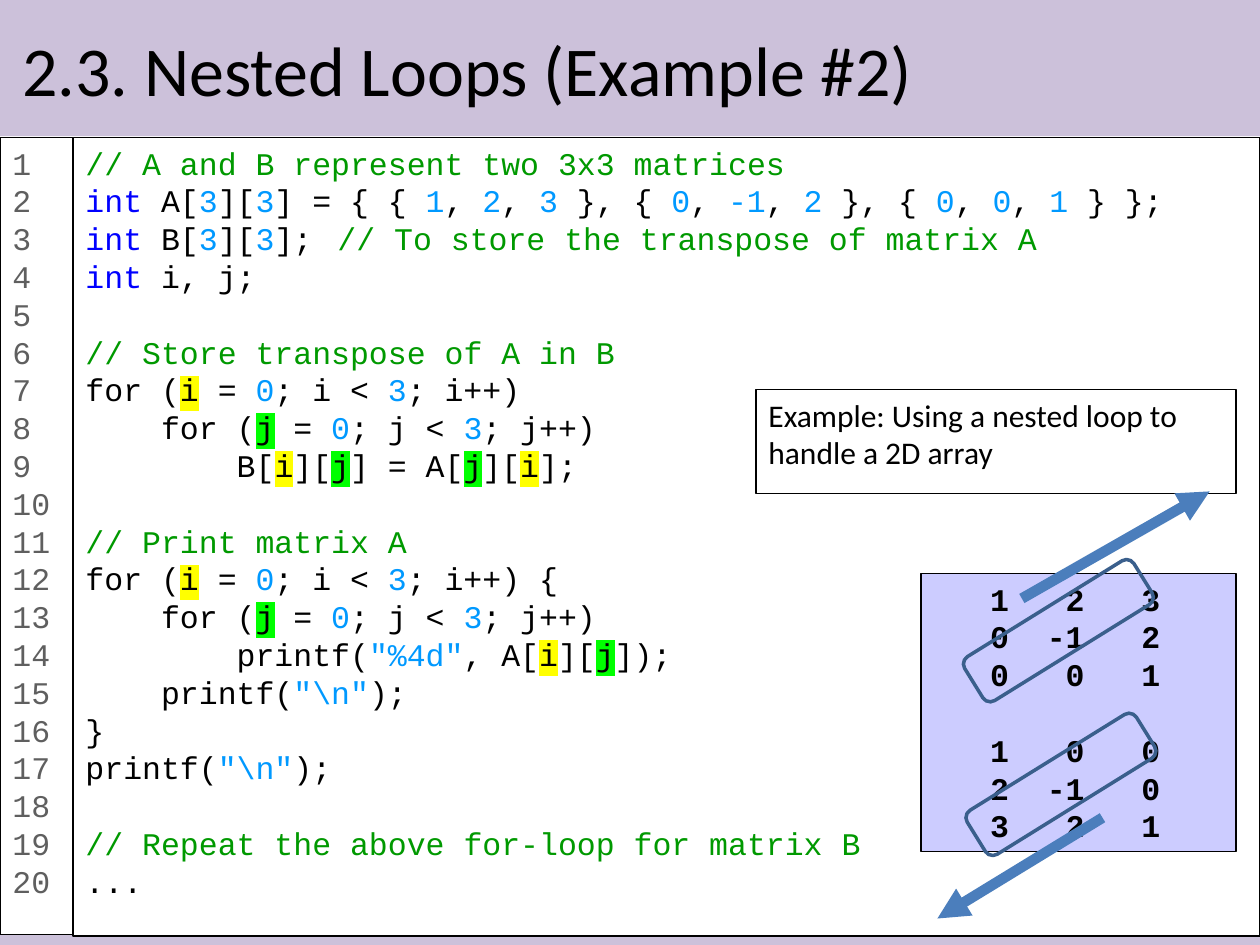
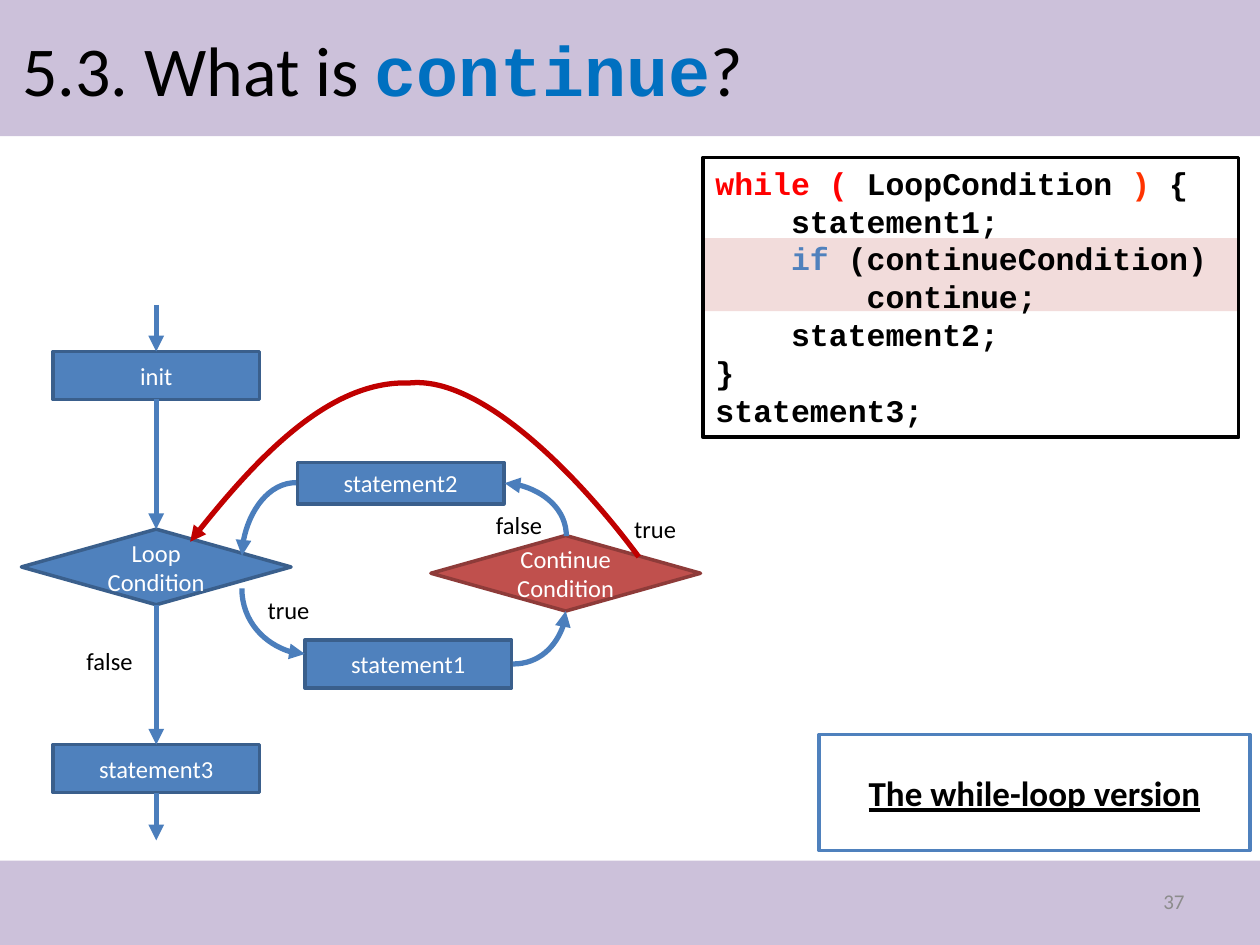
from dataclasses import dataclass, field
from itertools import chain

from lxml import etree
from pptx import Presentation
from pptx import util as u
from pptx.dml.color import RGBColor
from pptx.enum import shapes, text
from pptx.oxml.ns import qn

COLORS = {
    "black": "000000", "white": "FFFFFF", "band": "CCC1DA", "gray": "5F5F5F",
    "number": "8C8C8C", "comment": "009900", "keyword": "0000FF",
    "literal": "0099FF", "yellow": "FFFF00", "green": "00FF00",
    "output": "CCCCFF", "arrow": "4B7EBC", "blue": "4F81BD",
    "blue_edge": "3A5F8C", "red": "C0504D", "red_edge": "8E3B39",
    "pink": "F2DCDB", "jump": "C00000", "while": "FF0000",
    "paren": "FF3300", "term": "0070C0",
}
SANS, MONO = "Calibri", "Courier New"
MARKS = {
    "c": {"color": "comment"}, "k": {"color": "keyword"},
    "n": {"color": "literal"}, "y": {"highlight": "yellow"},
    "g": {"highlight": "green"}, "w": {"color": "while"},
    "p": {"color": "paren"}, "b": {"color": "blue"},
    "t": {"color": "term", "name": MONO, "bold": True},
}
CENTER, RIGHT = text.PP_ALIGN.CENTER, text.PP_ALIGN.RIGHT
MIDDLE, TOP = text.MSO_ANCHOR.MIDDLE, text.MSO_ANCHOR.TOP
RECT = shapes.MSO_SHAPE.RECTANGLE
ROUND = shapes.MSO_SHAPE.ROUNDED_RECTANGLE
DECISION = shapes.MSO_SHAPE.FLOWCHART_DECISION


@dataclass
class Style:
    size: float = 18
    name: str = SANS
    color: str = "black"
    bold: bool = False
    underline: bool = False
    align: text.PP_ALIGN = text.PP_ALIGN.LEFT
    anchor: text.MSO_ANCHOR = TOP
    margins: dict = field(default_factory=dict)


@dataclass
class Box:
    at: tuple
    words: str = ""
    style: Style = field(default_factory=Style)
    fill: str = ""
    line: str = ""
    weight: float = 0.75
    kind: shapes.MSO_SHAPE = RECT
    rotation: float = 0


@dataclass
class Curve:
    at: tuple
    rotation: int
    flip: str


TITLE = Style(size=40, anchor=MIDDLE)
CODE = Style(name=MONO)
BOLD_CODE = Style(name=MONO, bold=True)
NODE = Style(size=14, color="white", align=CENTER, anchor=MIDDLE)
LABEL = Style(size=14, align=CENTER)
LINE_NUMBER = Style(name=MONO, color="gray", margins={"margin_right": 0})
PAGE = Style(size=12, color="number", align=RIGHT, anchor=MIDDLE)
VERSION = Style(size=20, bold=True, underline=True, align=CENTER, anchor=MIDDLE)

MATRIX_CODE = r"""`c// A and B represent two 3x3 matrices`
`kint` A[`n3`][`n3`] = { { `n1`, `n2`, `n3` }, { `n0`, `n-1`, `n2` }, { `n0`, `n0`, `n1` } };
`kint` B[`n3`][`n3`];	`c// To store the transpose of matrix A`
`kint `i, j;

`c// Store transpose of A in B`
for (`yi` = `n0`; i < `n3`; i++)
    for (`gj` = `n0`; j < `n3`; j++)
        B[`yi`][`gj`] = A[`gj`][`yi`];

`c// Print matrix A`
for (`yi` = `n0`; i < `n3`; i++) {
    for (`gj` = `n0`; j < `n3`; j++)
        printf(`n"%4d"`, A[`yi`][`gj`]);
    printf(`n"\n"`);
}
printf(`n"\n"`);

`c// Repeat the above for-loop for matrix B`
..."""

MATRIX_OUTPUT = """   1   2   3
   0  -1   2
   0   0   1

   1   0   0
   2  -1   0
   3   2   1"""

WHILE_CODE = """`wwhile ( `LoopCondition `p) `{
    statement1;
    `bif` (continueCondition)
        continue;
    statement2;
}
statement3;"""


def rgb(color: str) -> RGBColor:
    return RGBColor.from_string(COLORS[color])


def add_run(p, words: str, style: Style, mark: dict) -> None:
    r = p.add_run()
    r.text = words
    r.font.color.rgb = rgb(mark.get("color", style.color))
    fmt = {"size": u.Pt(style.size), "name": mark.get("name", style.name),
           "bold": mark.get("bold", style.bold), "underline": style.underline}
    for key, value in fmt.items():
        setattr(r.font, key, value)
    if "highlight" in mark:
        highlight = etree.Element(qn("a:highlight"))
        etree.SubElement(highlight, qn("a:srgbClr"), val=COLORS[mark["highlight"]])
        r.font._element.find(qn("a:solidFill")).addnext(highlight)


def write(tf, words: str, style: Style) -> None:
    fmt = {"word_wrap": True, "vertical_anchor": style.anchor, **style.margins}
    for key, value in fmt.items():
        setattr(tf, key, value)
    for i, row in enumerate(words.split("\n")):
        p = tf.add_paragraph() if i else tf.paragraphs[0]
        p.alignment = style.align
        for j, part in enumerate(row.split("`")):
            if j % 2:
                add_run(p, part[1:], style, MARKS[part[0]])
            elif part:
                add_run(p, part, style, {})
        if not row:
            end = etree.SubElement(p._p, qn("a:endParaRPr"), sz=str(style.size * 100))
            etree.SubElement(end, qn("a:latin"), typeface=style.name)


def draw_box(s, box: Box):
    sp = s.shapes.add_shape(box.kind, *map(u.Inches, box.at))
    sp.shadow.inherit = False
    sp.rotation = box.rotation
    for paint, color in ((sp.fill, box.fill), (sp.line.fill, box.line)):
        if color:
            paint.solid()
            paint.fore_color.rgb = rgb(color)
        else:
            paint.background()
    if box.line:
        sp.line.width = u.Pt(box.weight)
    if box.words:
        write(sp.text_frame, box.words, box.style)
    return sp


def draw_text(s, at: tuple, words: str, style: Style) -> None:
    sp = s.shapes.add_textbox(*map(u.Inches, at))
    write(sp.text_frame, words, style)


def style_arrow(sp, color: str, weight: float) -> None:
    sp.line.color.rgb = rgb(color)
    sp.line.width = u.Pt(weight)
    etree.SubElement(sp.line._get_or_add_ln(), qn("a:tailEnd"), type="triangle")


def draw_arrow(s, start: tuple, end: tuple, weight: float = 3,
               kind=shapes.MSO_CONNECTOR.STRAIGHT):
    c = s.shapes.add_connector(kind, *map(u.Inches, (*start, *end)))
    style_arrow(c, "arrow", weight)
    etree.SubElement(c._element.spPr, qn("a:effectLst"))
    return c


def draw_curve(s, curve: Curve) -> None:
    left, top, width, height = curve.at
    c = draw_arrow(s, (left, top), (left + width, top + height),
                   kind=shapes.MSO_CONNECTOR.CURVE)
    pr = c._element.spPr
    pr.find(qn("a:prstGeom")).set("prst", "curvedConnector2")
    xfrm = pr.find(qn("a:xfrm"))
    xfrm.set("rot", str(curve.rotation * 60000))
    xfrm.set(curve.flip, "1")


def draw_jump(s, points: list) -> None:
    start, *rest = [tuple(map(u.Inches, point)) for point in points]
    builder = s.shapes.build_freeform(*start)
    builder.add_line_segments(rest, close=False)
    sp = builder.convert_to_shape()
    sp.shadow.inherit = False
    sp.fill.background()
    style_arrow(sp, "jump", 3)
    segments = list(sp._element.iter(qn("a:lnTo")))
    for i in range(0, len(segments), 3):
        bezier = etree.Element(qn("a:cubicBezTo"))
        segments[i].addprevious(bezier)
        for segment in segments[i:i + 3]:
            bezier.append(segment[0])
            segment.getparent().remove(segment)


def new_slide(prs):
    s = prs.slides.add_slide(prs.slide_layouts[6])
    for top, height in ((0, 1.08), (6.83, 0.67)):
        draw_box(s, Box((0, top, 10, height), fill="band"))
    return s


def draw_title(s, words: str) -> None:
    draw_text(s, (0.08, 0.08, 9, 0.92), words, TITLE)


def nested_loops(prs) -> None:
    s = new_slide(prs)
    numbers = "\n".join(map(str, range(1, 21)))
    for box in (
        Box((0.58, 1.09, 9.42, 6.34), MATRIX_CODE, CODE, "white", "black"),
        Box((0, 1.09, 0.58, 6.33), numbers, LINE_NUMBER, "white", "black"),
        Box((7.31, 4.55, 2.5, 2.21), MATRIX_OUTPUT, BOLD_CODE, "output", "black"),
        Box((6, 3.09, 3.81, 0.83), "Example: Using a nested loop to handle a 2D array",
            line="black"),
    ):
        draw_box(s, box)
    draw_title(s, "2.3. Nested Loops (Example #2)")
    for left, top in ((7.61, 4.8), (7.63, 6.02)):
        draw_box(s, Box((left, top, 1.58, 0.41), line="blue_edge", weight=2,
                        kind=ROUND, rotation=328.2))
    draw_arrow(s, (8.11, 4.75), (9.6, 3.9), 6)
    draw_arrow(s, (8.75, 6.49), (7.44, 7.29), 6)


def what_is_continue(prs) -> None:
    s = new_slide(prs)
    draw_box(s, Box((5.58, 1.89, 4.25, 0.58), fill="pink"))
    draw_title(s, "5.3. What is `tcontinue`?")
    draw_text(s, (7.17, 6.95, 2.33, 0.4), "37", PAGE)

    nodes = {}
    for words, left, top, height in (
        ("init", 0.42, 2.79, 0.38), ("statement1", 2.42, 5.08, 0.38),
        ("statement2", 2.36, 3.67, 0.33), ("statement3", 0.42, 5.91, 0.38),
    ):
        nodes[words] = draw_box(s, Box((left, top, 1.64, height), words, NODE,
                                       "blue", "blue_edge", 2))
    for words, left, top, color in (("Loop", 0.17, 4.2, "blue"),
                                    ("Continue", 3.42, 4.25, "red")):
        nodes[words] = draw_box(s, Box((left, top, 2.14, 0.6), f"{words}\nCondition",
                                       NODE, color, f"{color}_edge", 2, DECISION))

    axis = 1.24
    for source, target, top, bottom in (
        ("", "init", 2.42, 2.79), ("init", "Loop", 3.17, 4.2),
        ("Loop", "statement3", 4.8, 5.91), ("statement3", "", 6.29, 6.67),
    ):
        c = draw_arrow(s, (axis, top), (axis, bottom))
        if source:
            c.begin_connect(nodes[source], 2)
        if target:
            c.end_connect(nodes[target], 0)

    for curve in (
        Curve((1.91, 4.68, 0.52, 0.5), 270, "flipH"),
        Curve((4.07, 4.85, 0.42, 0.42), 0, "flipV"),
        Curve((4.04, 3.8, 0.42, 0.49), 270, "flipV"),
        Curve((1.92, 3.83, 0.43, 0.58), 180, "flipV"),
    ):
        draw_curve(s, curve)
    for words, left, top in chain(
        (("true", *at) for at in ((1.92, 4.67), (4.83, 4.03))),
        (("false", *at) for at in ((0.5, 5.08), (3.75, 4))),
    ):
        draw_text(s, (left, top, 0.74, 0.34), words, LABEL)

    draw_box(s, Box((5.58, 1.25, 4.25, 2.22), WHILE_CODE, BOLD_CODE,
                    line="black", weight=2.25))
    draw_box(s, Box((6.5, 5.83, 3.42, 0.92), "The while-loop version", VERSION,
                    "white", "blue", 2))
    draw_jump(s, [(5.07, 4.42), (4.62, 3.81), (3.83, 2.98), (3.25, 3.04),
                  (2.66, 3.02), (2.07, 3.58), (1.51, 4.3)])


def main() -> None:
    prs = Presentation()
    prs.slide_width, prs.slide_height = u.Inches(10), u.Inches(7.5)
    nested_loops(prs)
    what_is_continue(prs)
    prs.save("out.pptx")


if __name__ == "__main__":
    main()
